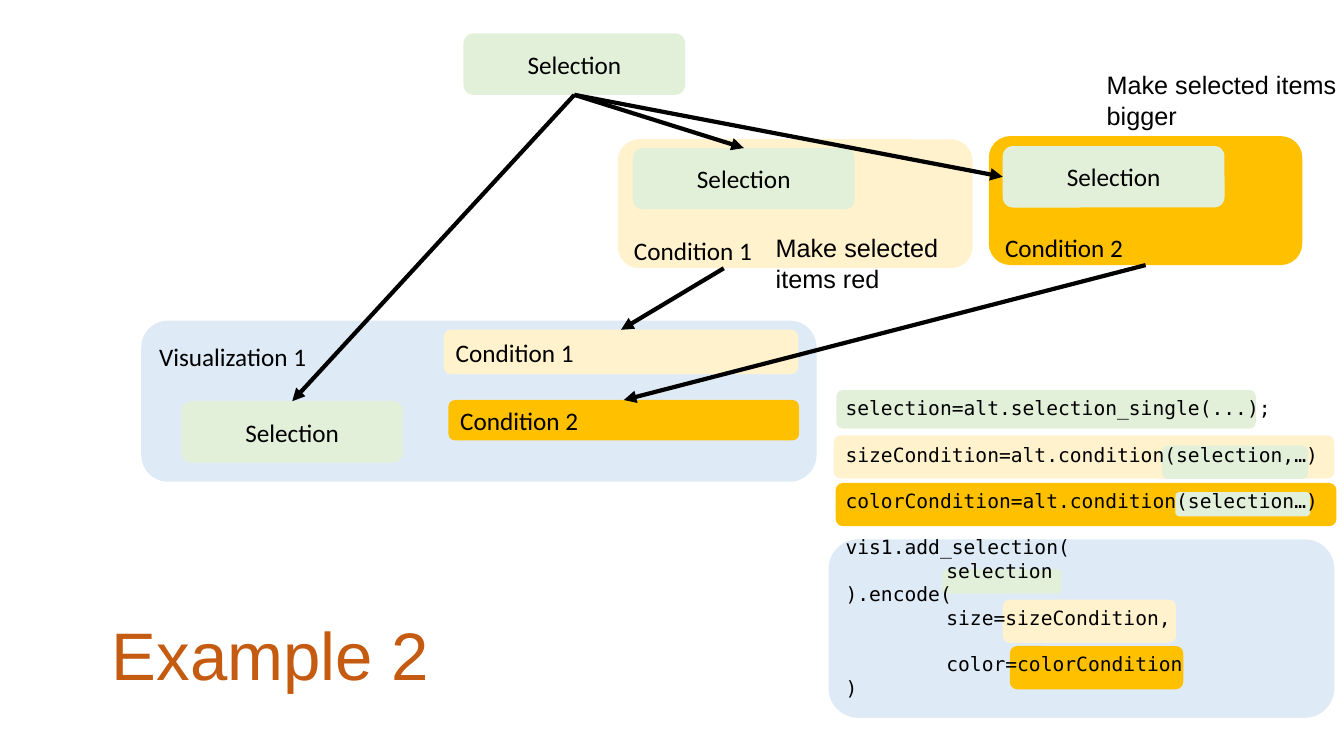
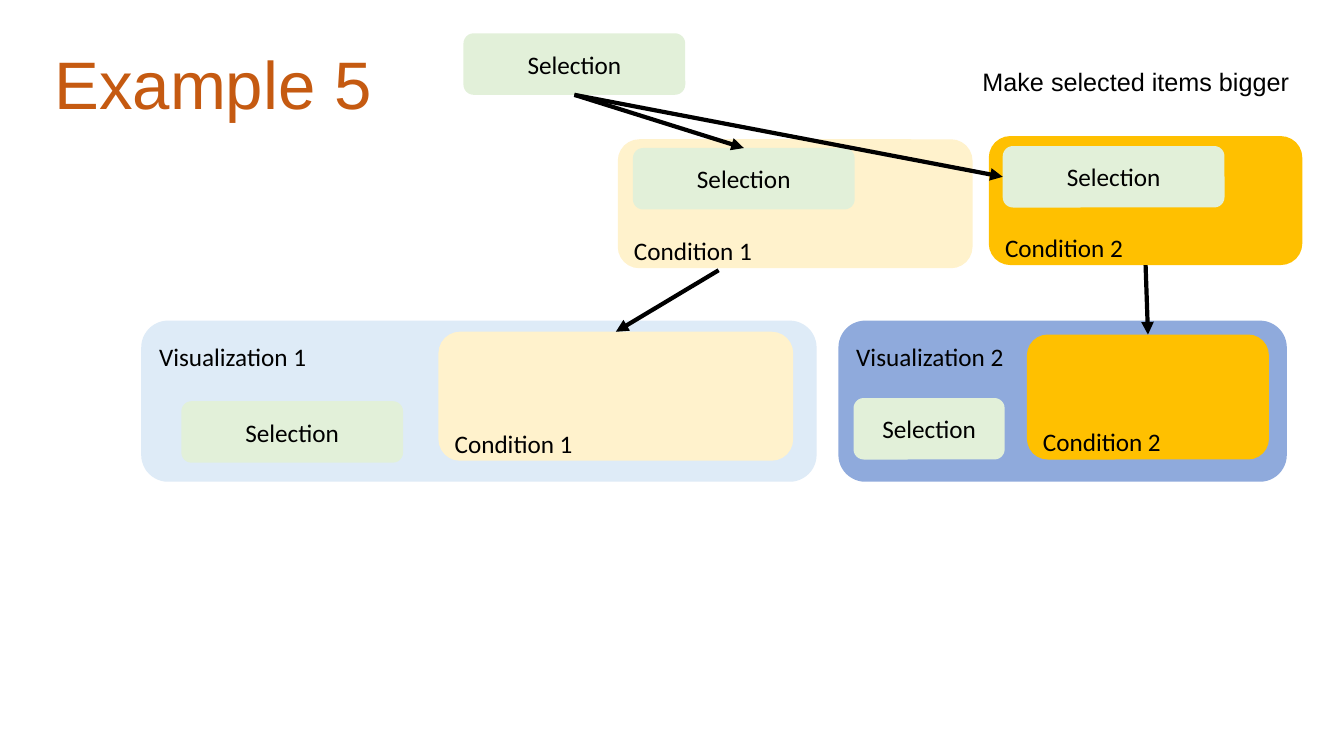
from lxml import etree
from pptx import Presentation
from pptx import util as u
from pptx.dml import color
from pptx.enum import shapes, text
from pptx.oxml import ns

GREEN, CREAM, GOLD = "E2F0D9", "FFF2CC", "FFC000"
PALE_BLUE, BLUE = "DEEBF7", "8FAADC"
BLACK, ORANGE = "000000", "C55A11"
BODY, SANS, MONO = "Calibri", "Arial", "DejaVu Sans Mono"
SELECTION_W, SELECTION_H = 5.59, 1.55
TOP, LEFT, BOTTOM = 0, 1, 2  # connection sites of a box


def rgb(value):
    return color.RGBColor.from_string(value)


class Deck:
    def __init__(self):
        self.prs = Presentation()
        self.prs.slide_width = u.Cm(33.87)
        self.prs.slide_height = u.Cm(19.05)
        self.s = None

    def new_slide(self):
        self.s = self.prs.slides.add_slide(self.prs.slide_layouts[6])

    def style(self, p, size, font, fill=BLACK):
        for r in p.runs:
            r.font.size = u.Pt(size)
            r.font.name = font
            r.font.color.rgb = rgb(fill)

    def box(self, x, y, w, h, fill, label="", align=text.PP_ALIGN.LEFT):
        sp = self.s.shapes.add_shape(shapes.MSO_SHAPE.ROUNDED_RECTANGLE,
                                     u.Cm(x), u.Cm(y), u.Cm(w), u.Cm(h))
        sp.shadow.inherit = False
        sp.fill.solid()
        sp.fill.fore_color.rgb = rgb(fill)
        sp.line.fill.background()
        if label:
            tf = sp.text_frame
            tf.text = label
            tf.vertical_anchor = text.MSO_ANCHOR.MIDDLE
            p = tf.paragraphs[0]
            p.alignment = align
            self.style(p, 18, BODY)
        return sp

    def selection(self, x, y, w=SELECTION_W):
        return self.box(x, y, w, SELECTION_H, GREEN, "Selection", text.PP_ALIGN.CENTER)

    def panel(self, x, y, w, h, fill, label, inset):
        """Box whose label starts at a fixed distance from the top."""
        sp = self.box(x, y, w, h, fill, label)
        tf = sp.text_frame
        tf.vertical_anchor = text.MSO_ANCHOR.TOP
        tf.margin_top, tf.margin_bottom = u.Cm(inset), 0
        return sp

    def condition(self, x, y, w, h, fill, label):
        return self.panel(x, y, w, h, fill, label, h - 0.98)

    def visualization(self, x, w, fill, label):
        return self.panel(x, 8.08, w, 4.06, fill, label, 0.32)

    def arrow(self, begin, end, end_site=TOP, start=None):
        """Arrow from the bottom of a box, or from a free start point."""
        x, y = start or (0, 0)
        c = self.s.shapes.add_connector(shapes.MSO_CONNECTOR.STRAIGHT,
                                        u.Cm(x), u.Cm(y), u.Cm(x), u.Cm(y))
        if begin is not None:
            c.begin_connect(begin, BOTTOM)
        c.end_connect(end, end_site)
        c.line.color.rgb = rgb(BLACK)
        c.line.width = u.Pt(3)
        etree.SubElement(c.line._get_or_add_ln(), ns.qn("a:tailEnd"), type="triangle")
        etree.SubElement(c._element.spPr, ns.qn("a:effectLst"))

    def text_box(self, x, y, w, h, content, size, font, fill=BLACK):
        sp = self.s.shapes.add_textbox(u.Cm(x), u.Cm(y), u.Cm(w), u.Cm(h))
        tf = sp.text_frame
        tf.word_wrap = True
        tf.auto_size = text.MSO_AUTO_SIZE.SHAPE_TO_FIT_TEXT
        tf.text = content
        for p in tf.paragraphs:
            self.style(p, size, font, fill)
        return tf

    def title(self, x, y, w, content):
        self.text_box(x, y, w, 2.31, content, 48, SANS, ORANGE)

    def note(self, x, y, w, content):
        self.text_box(x, y, w, 1.8, content, 18, SANS)

    def code(self, x, y, w, h, lines):
        """Each line is (content, indented, followed by a gap)."""
        tf = self.text_box(x, y, w, h, "\n".join(line[0] for line in lines), 14, MONO)
        for p, (_, indented, gap) in zip(tf.paragraphs, lines):
            if indented:
                p._p.get_or_add_pPr().set("marL", str(u.Cm(2.54)))
            if gap:
                p.space_after = u.Pt(16.3)

    def diagram(self):
        """Parts common to both examples; returns the second condition."""
        condition_1 = self.condition(15.57, 3.51, 8.94, 3.25, CREAM, "Condition 1")
        source = self.selection(11.68, 0.84)
        self.arrow(source, self.selection(15.95, 3.73))
        self.visualization(3.56, 17.02, PALE_BLUE, "Visualization 1")
        vis_selection = self.selection(4.57, 10.11)
        condition_2 = self.condition(24.92, 3.43, 7.9, 3.25, GOLD, "Condition 2")
        self.arrow(source, self.selection(25.27, 3.68), LEFT)
        return source, vis_selection, condition_2


d = Deck()

# Example 2: one visualization with two conditions
d.new_slide()
# Highlights behind the code
for highlight in [
    (20.88, 13.59, 12.75, 4.5, PALE_BLUE),
    (25.27, 15.11, 4.37, 1.09, CREAM),
    (23.75, 14.35, 3, 0.61, GREEN),
    (25.45, 16.28, 4.37, 1.09, GOLD),
    (21.08, 9.83, 10.57, 0.97, GREEN),
    (21.06, 12.17, 12.62, 1.09, GOLD),
    (29.62, 12.4, 3.4, 0.61, GREEN),
    (21.01, 10.97, 12.62, 1.09, CREAM),
    (29.29, 11.23, 3.68, 0.84, GREEN),
]:
    d.box(*highlight)
# Diagram
source, vis_selection, condition_2 = d.diagram()
bar_1 = d.box(11.18, 8.31, 8.94, 1.12, CREAM, "Condition 1")
d.arrow(None, bar_1, start=(18.24, 6.76))
bar_2 = d.box(11.3, 10.08, 8.84, 1.02, GOLD, "Condition 2")
d.arrow(condition_2, bar_2)
d.arrow(source, vis_selection)
# Text
d.note(27.64, 1.63, 6.43, "Make selected items bigger")
d.note(19.3, 5.74, 5.03, "Make selected items red")
d.code(21.06, 9.86, 12.8, 8.03, [
    ("selection=alt.selection_single(...);", False, True),
    ("sizeCondition=alt.condition(selection,…)", False, True),
    ("colorCondition=alt.condition(selection…)", False, True),
    ("vis1.add_selection(", False, False),
    ("selection", True, False),
    (").encode(", False, False),
    ("size=sizeCondition,", True, True),
    ("color=colorCondition", True, False),
    (")", False, False),
])
d.title(2.57, 15.34, 14.38, "Example 2")

# Example 5: two visualizations with one condition each
d.new_slide()
source, vis_selection, condition_2 = d.diagram()
vis_condition_1 = d.condition(11.05, 8.36, 8.94, 3.25, CREAM, "Condition 1")
d.arrow(None, vis_condition_1, start=(18.11, 6.81))
d.visualization(21.13, 11.3, BLUE, "Visualization 2")
vis_condition_2 = d.condition(25.88, 8.43, 6.1, 3.15, GOLD, "Condition 2")
d.arrow(condition_2, vis_condition_2)
d.selection(21.51, 10.03, 3.81)
# Text
d.title(1.12, 0.94, 9.6, "Example 5")
d.note(24.51, 1.55, 9.07, "Make selected items bigger")

d.prs.save("out.pptx")
